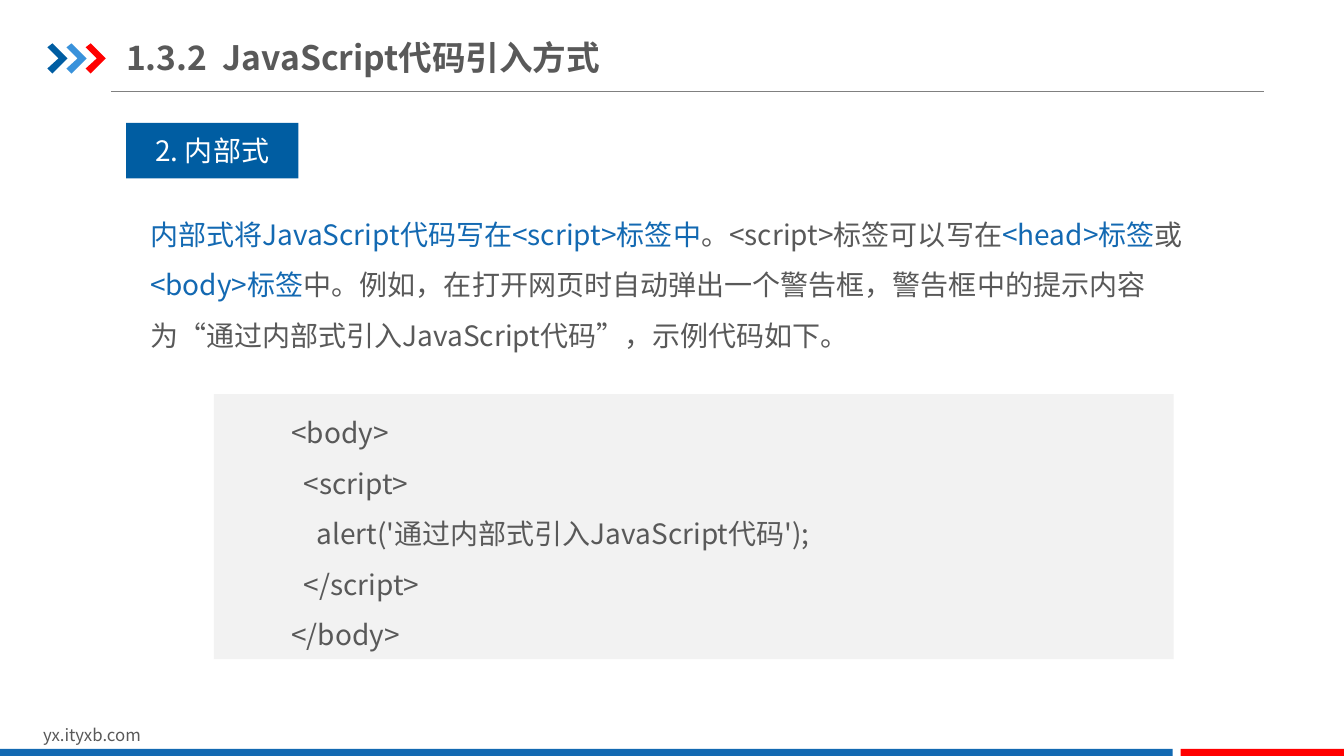
from dataclasses import dataclass

from lxml.etree import SubElement
from pptx import Presentation
from pptx.dml.color import RGBColor
from pptx.enum.shapes import MSO_CONNECTOR, MSO_SHAPE
from pptx.enum.text import MSO_ANCHOR, MSO_AUTO_SIZE, PP_ALIGN
from pptx.oxml.ns import qn
from pptx.util import Pt

PX = 9144


@dataclass(frozen=True)
class Theme:
    font: str = "Noto Sans CJK SC"
    text: str = "595959"
    navy: str = "005DA2"
    blue: str = "1369B2"
    sky: str = "3992DB"
    red: str = "FF0000"
    rule: str = "808080"
    panel: str = "F2F2F2"
    white: str = "FFFFFF"
    title_size: int = 24
    body_size: int = 20
    footer_size: int = 12


THEME = Theme()
CHEVRON = [(0, 4), (5, 0), (20, 15), (5, 30), (0, 25), (11, 15)]
CHEVRON_COLORS = [THEME.navy, THEME.sky, THEME.red]
EXPLANATION = [
    ("内部式将JavaScript代码写在<script>标签中", THEME.blue),
    ("。<script>标签可以写在", THEME.text),
    ("<head>标签", THEME.blue),
    ("或", THEME.text),
    ("<body>标签", THEME.blue),
    ("中。例如，在打开网页时自动弹出一个警告框，警告框中的提示内容"
     "为“通过内部式引入JavaScript代码”，示例代码如下。", THEME.text),
]
CODE = """<body>
  <script>
    alert('通过内部式引入JavaScript代码');
  </script>
</body>"""


def px(*lengths):
    return [length * PX for length in lengths]


def apply(target, formats):
    for attribute, value in formats.items():
        setattr(target, attribute, value)


def paint(shape, color):
    shape.shadow.inherit = False
    shape.fill.solid()
    shape.fill.fore_color.rgb = RGBColor.from_string(color)
    shape.line.fill.background()


def add_run(paragraph, text, color, size, bold=False):
    run = paragraph.add_run()
    run.text = text
    apply(run.font, {"name": THEME.font, "size": Pt(size), "bold": bold})
    run.font.color.rgb = RGBColor.from_string(color)
    SubElement(run.font._element, qn("a:ea"), typeface=THEME.font)


def add_panel(slide, box, color):
    panel = slide.shapes.add_shape(MSO_SHAPE.RECTANGLE, *px(*box))
    paint(panel, color)
    return panel


def add_passage(slide, box, runs, size, spacing=1.0):
    frame = slide.shapes.add_textbox(*px(*box)).text_frame
    apply(frame, {"word_wrap": True, "auto_size": MSO_AUTO_SIZE.SHAPE_TO_FIT_TEXT})
    paragraph = frame.paragraphs[0]
    paragraph.line_spacing = spacing
    for text, color in runs:
        add_run(paragraph, text, color, size)


def add_title(slide, box, text):
    title = slide.shapes.title
    apply(title, dict(zip(("left", "top", "width", "height"), px(*box))))
    frame = title.text_frame
    apply(frame, {
        "margin_left": 0, "margin_right": 0,
        "vertical_anchor": MSO_ANCHOR.MIDDLE,
        "auto_size": MSO_AUTO_SIZE.NONE, "word_wrap": True,
    })
    heading = frame.paragraphs[0]
    heading.alignment = PP_ALIGN.LEFT
    add_run(heading, text, THEME.text, THEME.title_size, bold=True)


def add_chevrons(slide, left, top, pitch):
    for index, color in enumerate(CHEVRON_COLORS):
        points = [(left + index * pitch + x, top + y) for x, y in CHEVRON]
        builder = slide.shapes.build_freeform(*points[0], scale=PX)
        builder.add_line_segments(points[1:], close=True)
        paint(builder.convert_to_shape(), color)


def add_rule(slide, ends):
    rule = slide.shapes.add_connector(MSO_CONNECTOR.STRAIGHT, *px(*ends))
    rule.line.width = Pt(0.75)
    rule.line.color.rgb = RGBColor.from_string(THEME.rule)
    SubElement(rule._element.spPr, qn("a:effectLst"))


def add_badge(slide, box, text):
    frame = add_panel(slide, box, THEME.navy).text_frame
    frame.vertical_anchor = MSO_ANCHOR.MIDDLE
    label = frame.paragraphs[0]
    label.alignment = PP_ALIGN.CENTER
    add_run(label, text, THEME.white, THEME.body_size)


def add_code(slide, box, code, indent):
    frame = add_panel(slide, box, THEME.panel).text_frame
    apply(frame, {
        "vertical_anchor": MSO_ANCHOR.TOP, "word_wrap": True,
        "auto_size": MSO_AUTO_SIZE.SHAPE_TO_FIT_TEXT,
    })
    for index, line in enumerate(code.splitlines()):
        paragraph = frame.add_paragraph() if index else frame.paragraphs[0]
        apply(paragraph, {"level": 1, "line_spacing": 1.5, "alignment": PP_ALIGN.LEFT})
        properties = paragraph._p.get_or_add_pPr()
        properties.set("marL", str(indent * PX))
        properties.set("indent", "0")
        add_run(paragraph, line, THEME.text, THEME.body_size)


def main():
    deck = Presentation()
    deck.slide_width, deck.slide_height = px(1333, 750)
    slide = deck.slides.add_slide(deck.slide_layouts[5])

    add_rule(slide, (110, 91, 1254, 91))
    add_chevrons(slide, 47, 43, 19)
    add_passage(slide, (33, 714, 318, 30), [("yx.ityxb.com", THEME.text)], THEME.footer_size)
    add_panel(slide, (0, 743, 1163, 7), THEME.blue)
    add_panel(slide, (1171, 743, 162, 7), THEME.red)
    add_passage(slide, (139, 194, 1071, 162), EXPLANATION, THEME.body_size, 1.5)
    add_badge(slide, (125, 122, 171, 55), "2. 内部式")
    add_title(slide, (125, 29, 479, 55), "1.3.2  JavaScript代码引入方式")
    add_code(slide, (212, 391, 952, 263), CODE, 67)

    deck.save("out.pptx")


if __name__ == "__main__":
    main()
